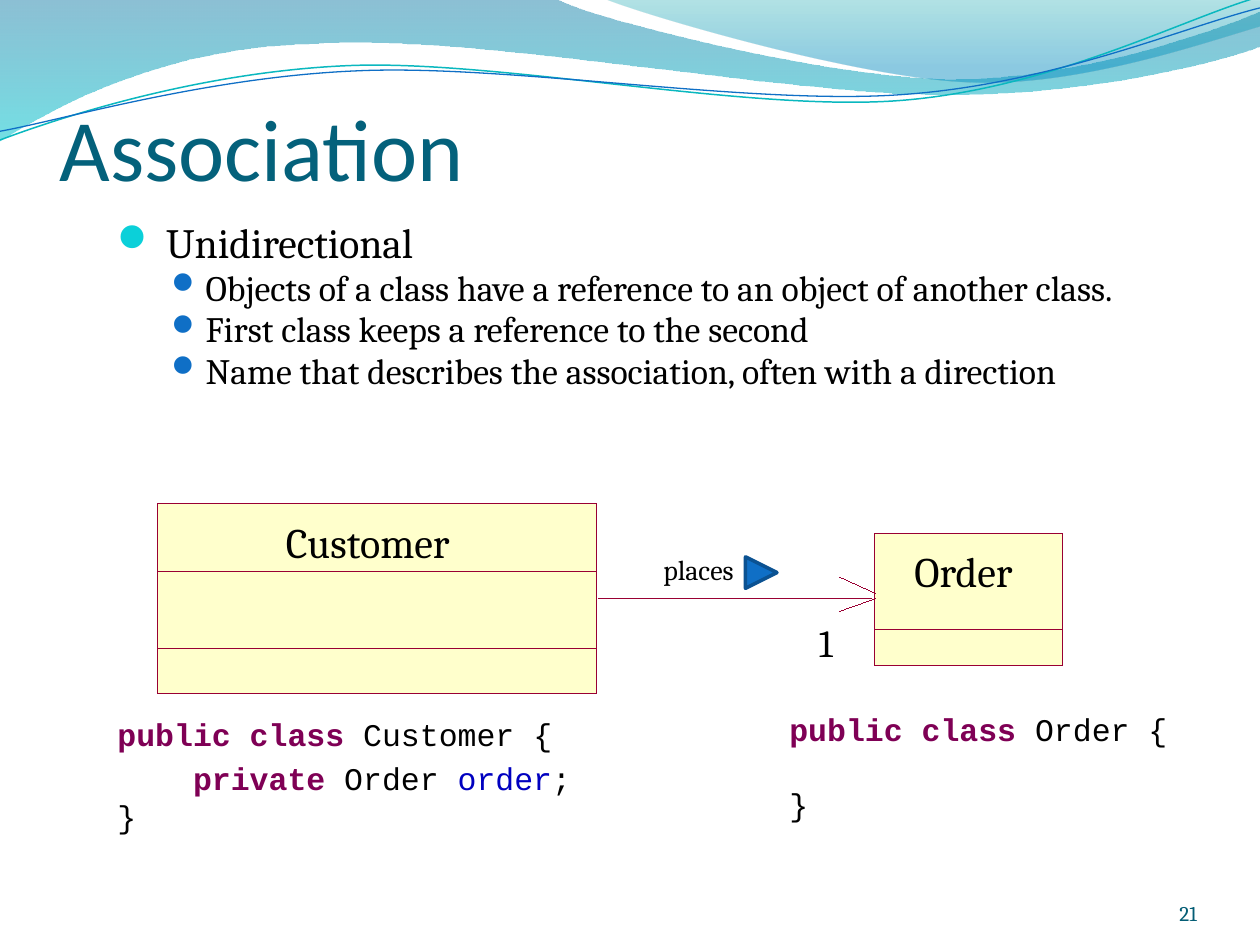
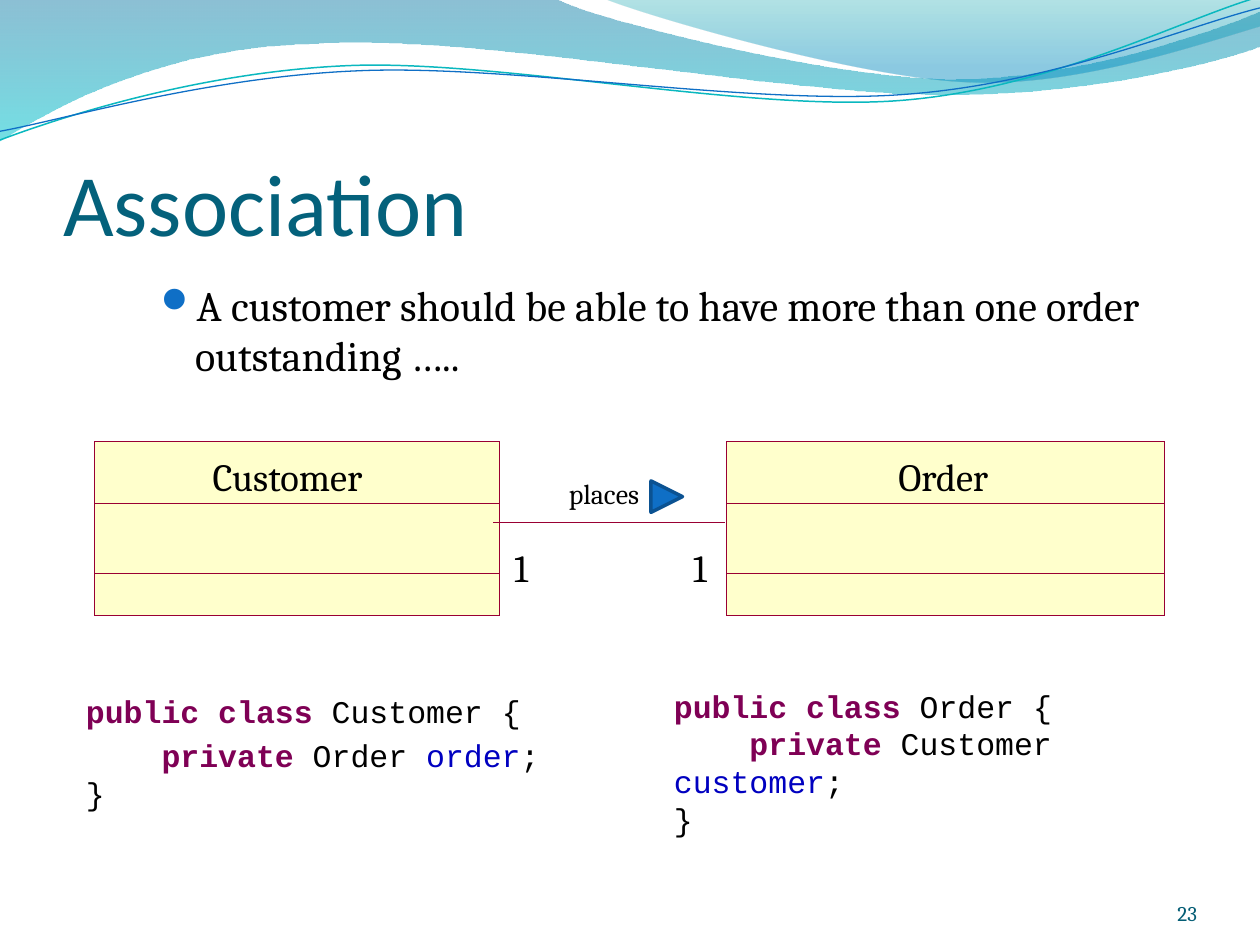
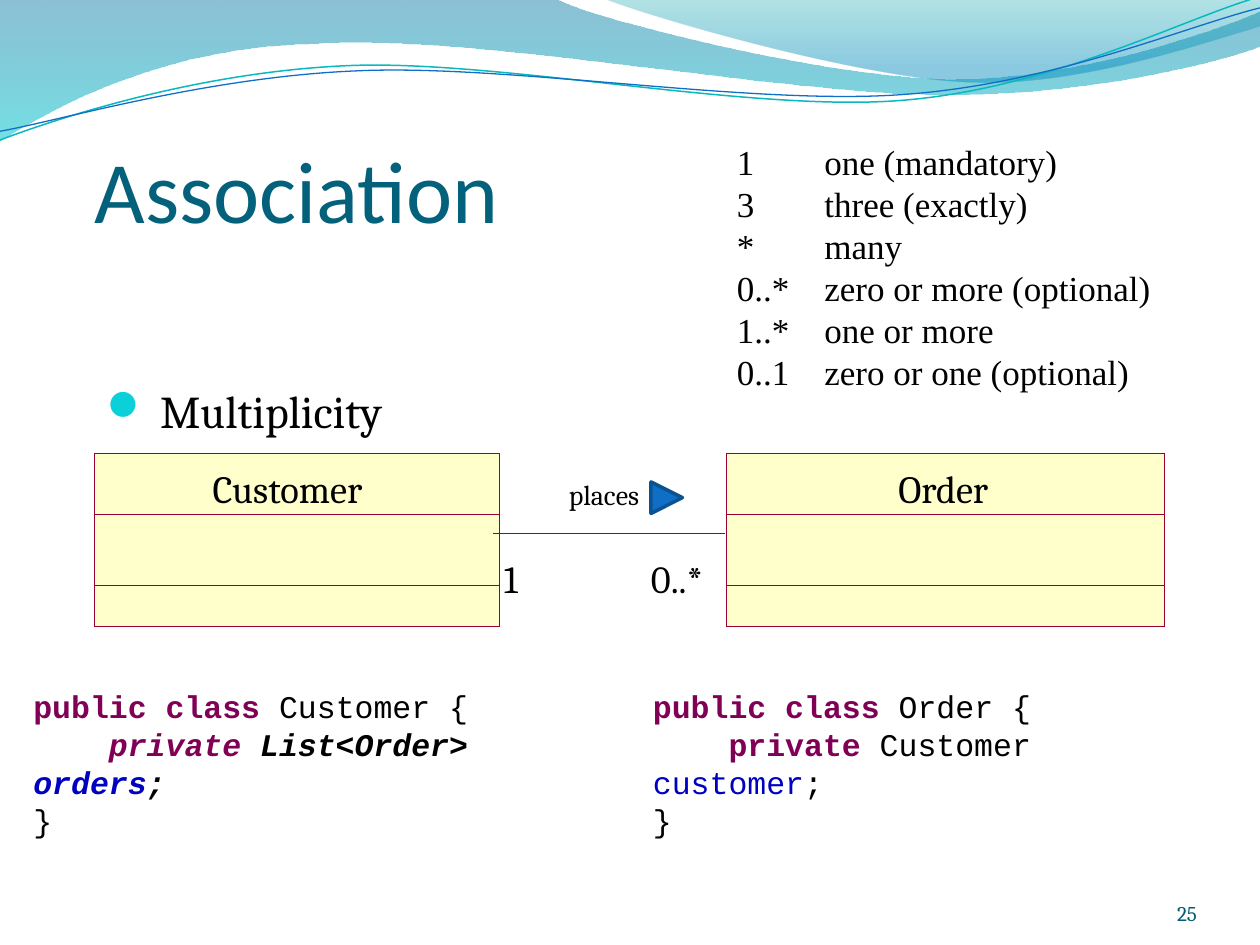
from lxml import etree
from pptx import Presentation
from pptx.dml.color import RGBColor
from pptx.enum.shapes import MSO_CONNECTOR, MSO_SHAPE
from pptx.enum.text import MSO_ANCHOR, MSO_AUTO_SIZE, PP_ALIGN
from pptx.oxml.ns import qn
from pptx.util import Pt

# Enum members
RECTANGLE, TRIANGLE = MSO_SHAPE.RECTANGLE, MSO_SHAPE.ISOSCELES_TRIANGLE
STRAIGHT = MSO_CONNECTOR.STRAIGHT
LEFT, RIGHT = PP_ALIGN.LEFT, PP_ALIGN.RIGHT
TOP, BOTTOM = MSO_ANCHOR.TOP, MSO_ANCHOR.BOTTOM
GROW, FIXED = MSO_AUTO_SIZE.SHAPE_TO_FIT_TEXT, MSO_AUTO_SIZE.NONE

# Colours
BLACK = RGBColor(0x00, 0x00, 0x00)
TITLE_TEAL = RGBColor(0x04, 0x61, 0x7B)
NUMBER_TEAL = RGBColor(0x04, 0x5D, 0x75)
CYAN = RGBColor(0x0B, 0xD0, 0xD9)
BLUE = RGBColor(0x0F, 0x6F, 0xC6)
DARK_BLUE = RGBColor(0x0B, 0x52, 0x92)
CREAM = RGBColor(0xFF, 0xFF, 0xCC)
MAROON = RGBColor(0x99, 0x00, 0x33)
KEYWORD = RGBColor(0x7F, 0x00, 0x55)
FIELD = RGBColor(0x00, 0x00, 0xC0)
WAVE_TEAL = RGBColor(0x0A, 0xB8, 0xBF)

# Fonts
TITLE_FONT, BODY_FONT = "Calibri", "Cambria"
CODE_FONT, LEGEND_FONT = "Courier New", "Times New Roman"
BULLET_FONT, BULLET = "Wingdings 2", "\uf097"
CODE_SIZE = 18
CODE_INDENT = 4 * 0.6 * CODE_SIZE  # four monospaced characters

# Waves: a start, then steps of one point (straight) or three (curve)
BANDS = [
    ((0, 0), [
        [(317, -1)],
        [(343, 12), (478, 45), (546, 45)],
        [(614, 45), (690, 19), (720, 6.5)],
        [(721, 26)],
        [(708, 32), (626, 55), (537, 54)],
        [(447, 54), (275, 20), (185, 24.5)],
        [(93, 26), (33, 60), (-1, 81)],
    ], [(0, RGBColor(0x00, 0x74, 0xA1), 45), (1, RGBColor(0x00, 0xC6, 0xCF), 55)]),
    ((345, -1), [
        [(366, 8), (491, 45), (554, 47)],
        [(616, 50), (692, 23), (720, 15)],
        [(720, 0)],
    ], [(0, RGBColor(0x00, 0xA1, 0xA9), 30), (0.8, RGBColor(0x00, 0x8B, 0xBF), 45)]),
]
STRANDS = [
    ((0, 80), [
        [(34.5, 67), (114, 41), (199.5, 37.5)],
        [(284.5, 34), (427, 64), (513.5, 57.5)],
        [(600, 51), (675.5, 11), (718.5, -1.5)],
    ], WAVE_TEAL, 0.85),
    ((0, 75), [
        [(34, 69), (118, 44), (204, 40.5)],
        [(290, 36.5), (430, 60.5), (516, 54)],
        [(602, 48), (677.5, 15), (720, 4.5)],
    ], BLUE, 0.75),
]


class Deck:
    """Holds the style and the current slide."""

    def __init__(self):
        self.presentation = Presentation()
        self.presentation.slide_width = Pt(720)
        self.presentation.slide_height = Pt(540)
        self.layout = self.presentation.slide_layouts[5]
        self.slide = None

    def new_slide(self, title, number, left, top, width=648):
        first = self.slide is None
        self.slide = self.presentation.slides.add_slide(self.layout)
        if first:
            self.waves()
        shape = self.slide.shapes.title
        shape.left, shape.top, shape.width, shape.height = Pt(left), Pt(top), Pt(width), Pt(90)
        frame = self.frame(shape, (0, 3.6, 0, 0), anchor=BOTTOM)
        frame.paragraphs[0].alignment = LEFT
        self.run(frame.paragraphs[0], title, 50, TITLE_FONT, TITLE_TEAL)
        self.slide_number(number)

    # Shared background, drawn once and kept on the layout
    def waves(self):
        for start, steps, stops in BANDS:
            shape = self.outline(start, steps, True)
            shape.line.fill.background()
            shape.fill.gradient()
            shape.fill.gradient_angle = 270
            for stop, (position, colour, _) in zip(shape.fill.gradient_stops, stops):
                stop.position = position
                stop.color.rgb = colour
            for node, (_, _, opacity) in zip(shape.element.iter(qn("a:srgbClr")), stops):
                etree.SubElement(node, qn("a:alpha")).set("val", str(opacity * 1000))
        for start, steps, colour, weight in STRANDS:
            shape = self.outline(start, steps, False)
            shape.fill.background()
            self.stroke(shape, colour, weight)

    def outline(self, start, steps, closed):
        """Build a freeform through the end points, then bend its curved segments."""
        corners = [(Pt(x), Pt(y)) for x, y in [start] + [step[-1] for step in steps]]
        builder = self.slide.shapes.build_freeform(*corners[0])
        builder.add_line_segments(corners[1:], close=closed)
        shape = builder.convert_to_shape()
        shape.shadow.inherit = False
        segments = list(shape.element.iter(qn("a:lnTo")))
        for segment, step in zip(segments, steps):
            if len(step) == 3:
                segment.tag = qn("a:cubicBezTo")
                for position, (x, y) in enumerate(step[:2]):
                    point = etree.Element(qn("a:pt"))
                    point.set("x", str(Pt(x) - shape.left))
                    point.set("y", str(Pt(y) - shape.top))
                    segment.insert(position, point)
        tree = self.layout.shapes.element
        shape.element.nvSpPr.cNvPr.set("id", str(100 + len(tree)))
        tree.append(shape.element)
        return shape

    # Text
    def frame(self, shape, insets=(7.2, 3.6, 7.2, 3.6), anchor=TOP, wrap=True, size=FIXED):
        frame = shape.text_frame
        frame.margin_left, frame.margin_top, frame.margin_right, frame.margin_bottom = map(Pt, insets)
        frame.vertical_anchor = anchor
        frame.word_wrap = wrap
        frame.auto_size = size
        return frame

    def text_box(self, left, top, width, height, **options):
        shape = self.slide.shapes.add_textbox(Pt(left), Pt(top), Pt(width), Pt(height))
        return self.frame(shape, **options)

    def run(self, paragraph, text, size, font=BODY_FONT, colour=BLACK, bold=False, italic=False):
        run = paragraph.add_run()
        run.text = text
        run.font.size = Pt(size)
        run.font.name = font
        run.font.color.rgb = colour
        run.font.bold = bold
        run.font.italic = italic

    def paragraphs(self, frame, count):
        return [frame.paragraphs[0]] + [frame.add_paragraph() for _ in range(count - 1)]

    def indent(self, paragraph, margin, first):
        properties = paragraph._p.get_or_add_pPr()
        properties.set("marL", str(Pt(margin)))
        properties.set("indent", str(Pt(first)))
        return properties

    def label(self, text, left, top, width, size=22, inset=0):
        frame = self.text_box(left, top, width, 1.2 * size + inset, wrap=False,
                              insets=(inset, inset / 2, inset, inset / 2), size=GROW)
        self.run(frame.paragraphs[0], text, size)

    def slide_number(self, number):
        frame = self.text_box(624, 500.4, 60, 28.8, insets=(0, 0, 0, 0), anchor=BOTTOM)
        frame.paragraphs[0].alignment = RIGHT
        self.run(frame.paragraphs[0], number, 12, colour=NUMBER_TEAL)

    def bullets(self, left, top, width, height, items, line_spacing=1.0):
        """Items are (level, size, text)."""
        frame = self.text_box(left, top, width, height)
        for paragraph, (level, size, text) in zip(self.paragraphs(frame, len(items)), items):
            margin, hang, colour, scale = ((21.6, 21.6, CYAN, 95), (50.4, 19.44, BLUE, 85))[level]
            paragraph.level = level
            paragraph.line_spacing = line_spacing
            paragraph.space_before = Pt(0.2 * size)
            properties = self.indent(paragraph, margin, -hang)
            colour_node = etree.SubElement(properties, qn("a:buClr"))
            etree.SubElement(colour_node, qn("a:srgbClr")).set("val", str(colour))
            etree.SubElement(properties, qn("a:buSzPct")).set("val", str(scale * 1000))
            font = etree.SubElement(properties, qn("a:buFont"))
            font.set("typeface", BULLET_FONT)
            font.set("charset", "2")
            etree.SubElement(properties, qn("a:buChar")).set("char", BULLET)
            self.run(paragraph, text, size)

    def legend(self, left, top, width, height, rows):
        """Rows are (symbol, meaning); a whole number as symbol becomes automatic numbering."""
        frame = self.text_box(left, top, width, height, size=GROW)
        for paragraph, (symbol, meaning) in zip(self.paragraphs(frame, len(rows)), rows):
            properties = self.indent(paragraph, 50, -50)
            if isinstance(symbol, int):
                numbering = etree.SubElement(properties, qn("a:buAutoNum"))
                numbering.set("type", "arabicPlain")
                numbering.set("startAt", str(symbol))
                text = meaning
            else:
                text = f"{symbol}\t{meaning}"
            self.run(paragraph, text, 20, LEGEND_FONT)

    def code(self, left, top, width, class_name, member=(), line_spacing=None, gap=0):
        """A class with at most one member; member runs are (text, colour, bold, italic)."""
        opening = [("public class ", KEYWORD, True, False), (class_name + " {", BLACK, False, False)]
        lines = [opening] + ([member] if member else []) + [[("}", BLACK, False, False)]]
        frame = self.text_box(left, top, width, 72.7, size=GROW)
        paragraphs = self.paragraphs(frame, len(lines))
        for paragraph, line in zip(paragraphs, lines):
            if line is member:
                self.indent(paragraph, 0, CODE_INDENT)
            if line_spacing and line is not lines[-1]:
                paragraph.line_spacing = line_spacing
            for text, colour, bold, italic in line:
                self.run(paragraph, text, CODE_SIZE, CODE_FONT, colour, bold, italic)
        if gap:
            paragraphs[-1].space_before = Pt(gap)

    # Diagram
    def stroke(self, shape, colour, weight):
        shape.line.color.rgb = colour
        # A hairline needs its zero width written out
        shape.element.spPr.find(qn("a:ln")).set("w", str(Pt(weight)))

    def shape(self, kind, left, top, width, height, fill, line, weight=0):
        shape = self.slide.shapes.add_shape(kind, Pt(left), Pt(top), Pt(width), Pt(height))
        shape.shadow.inherit = False
        if fill is None:
            shape.fill.background()
        else:
            shape.fill.solid()
            shape.fill.fore_color.rgb = fill
        self.stroke(shape, line, weight)
        return shape

    def class_box(self, name, name_offset, name_width, left, top, width, height, dividers, size=22):
        self.shape(RECTANGLE, left, top, width, height, CREAM, MAROON)
        self.label(name, left + name_offset, top + 0.3 * size, name_width, size)
        for offset in dividers:
            self.shape(RECTANGLE, left, top + offset, width, height - offset, None, MAROON)

    def line(self, x1, y1, x2, y2):
        connector = self.slide.shapes.add_connector(STRAIGHT, Pt(x1), Pt(y1), Pt(x2), Pt(y2))
        self.stroke(connector, MAROON, 0)
        etree.SubElement(connector.element.spPr, qn("a:effectLst"))

    def direction(self, left, top):
        """The association's name with its reading direction."""
        self.label("places", left, top, 57.6, 16, 7.2)
        marker = self.shape(TRIANGLE, left + 54, top + 6.2, 18, 18, BLUE, DARK_BLUE, 2)
        marker.rotation = 90

    def association(self, top, direction_top, customer_end, order_end):
        """Two class boxes of equal height; each end is (text, left, width)."""
        for name, name_offset, name_width, left, width in (
                ("Customer", 67.5, 95.8, 54, 231.6), ("Order", 98.4, 56.2, 415, 250.4)):
            self.class_box(name, name_offset, name_width, left, top, width, 99.2, (35.2, 75.6))
        self.line(414, top + 46, 282, top + 46)
        for text, left, width in (order_end, customer_end):
            self.label(text, left, top + 58.2, width)
        self.direction(318, direction_top)


def private_member(kind, name):
    return [("private ", KEYWORD, True, False), (kind + " ", BLACK, False, False),
            (name, FIELD, False, False), (";", BLACK, False, False)]


ORDER_MEMBER = private_member("Order", "order")
CUSTOMER_MEMBER = private_member("Customer", "customer")
ORDERS_MEMBER = [("private", KEYWORD, True, True), (" List<Order> ", BLACK, True, True),
                 ("orders", FIELD, True, True), (";", BLACK, True, True)]

deck = Deck()

# Slide 1: one-way association
deck.new_slide("Association", "21", 34, 24)
deck.bullets(60, 126, 612, 132, [
    (0, 23.8, " Unidirectional"),
    (1, 20.4, "Objects of a class have a reference to an object of another class."),
    (1, 20.4, "First class keeps a reference to the second"),
    (1, 20.4, "Name that describes the association, often with a direction"),
], line_spacing=0.8)
deck.class_box("Customer", 73.4, 104.4, 90, 287.8, 251, 108.7, (38.9, 83), 24)
deck.class_box("Order", 22.8, 61.2, 499.7, 304.7, 107.3, 75.6, (55.2,), 24)
deck.line(342, 342, 498.2, 342)
deck.line(500.4, 342, 480, 349.2)
deck.line(500.4, 339.1, 480, 329.8)
deck.label("1", 468, 354, 12.2)
deck.direction(372, 312)
deck.code(60, 402, 300, "Customer", ORDER_MEMBER, line_spacing=1.15)
deck.code(444, 402, 258, "Order", gap=21.6)

# Slide 2: one to one
deck.new_slide("Association", "23", 36, 55.4)
deck.bullets(54, 156, 612, 66, [
    (1, 24, "A customer should be able to have more than one order outstanding ….."),
])
deck.association(252.4, 268.6, ("1", 293.8, 12.2), ("1", 396, 12.2))
deck.code(42, 388.8, 300, "Customer", ORDER_MEMBER, line_spacing=1.15)
deck.code(378, 388.8, 318, "Order", CUSTOMER_MEMBER)

# Slide 3: multiplicity
deck.new_slide("Association", "25", 54, 48, 294)
deck.bullets(54, 215.3, 288, 66, [(0, 26, " Multiplicity")])
deck.association(259, 269.2, ("1", 288, 12.2), ("0..*", 372, 33.1))
deck.legend(414, 76.8, 264, 151, [
    ("1", "one (mandatory)"),
    (3, "three (exactly)"),
    ("*", "many"),
    ("0..*", "zero or more (optional)"),
    ("1..*", "one or more"),
    ("0..1", "zero or one (optional)"),
])
deck.code(12, 389.2, 324, "Customer", ORDERS_MEMBER)
deck.code(366, 389.2, 336, "Order", CUSTOMER_MEMBER)

deck.presentation.save("out.pptx")
